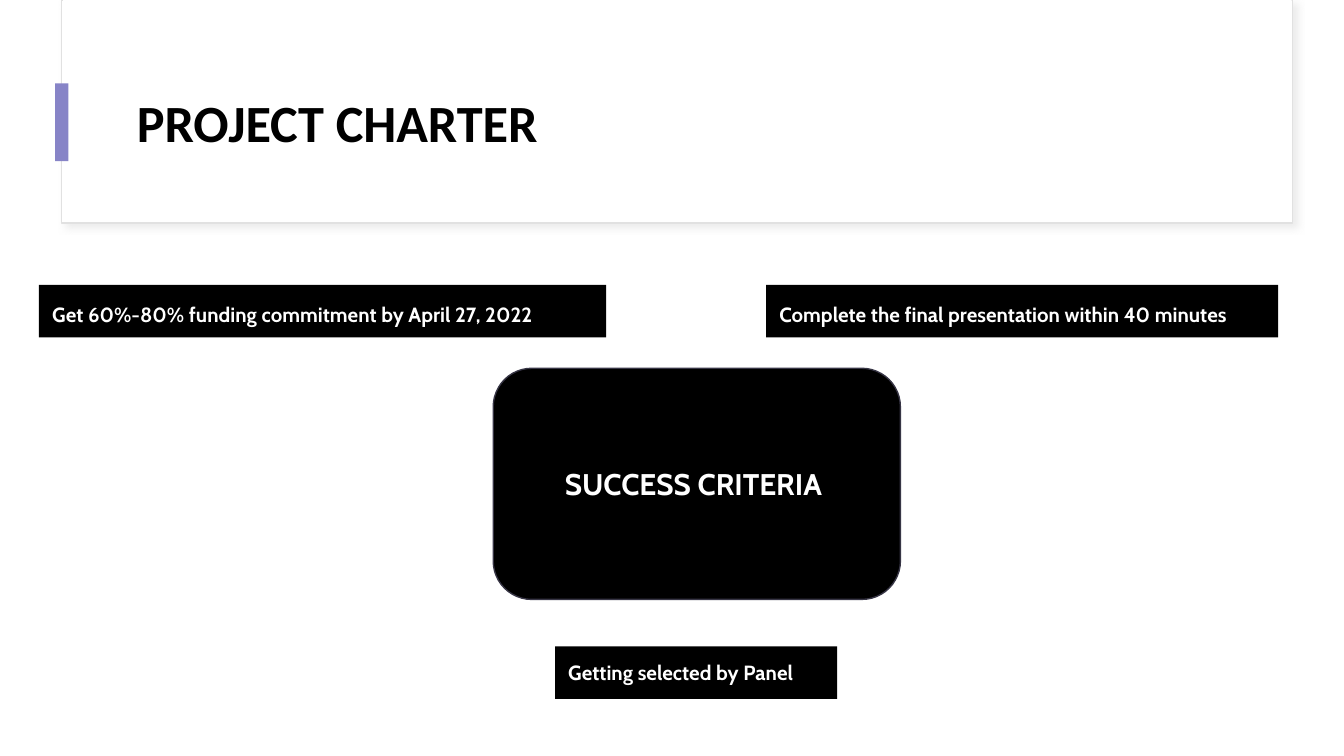
from lxml import etree
from pptx import Presentation
from pptx.dml.color import RGBColor
from pptx.enum.shapes import MSO_SHAPE
from pptx.enum.text import MSO_ANCHOR, PP_ALIGN
from pptx.oxml.ns import qn
from pptx.util import Inches, Pt

RECTANGLE, ROUNDED = MSO_SHAPE.RECTANGLE, MSO_SHAPE.ROUNDED_RECTANGLE
TOP, MIDDLE = MSO_ANCHOR.TOP, MSO_ANCHOR.MIDDLE
LEFT, CENTER, JUSTIFY = PP_ALIGN.LEFT, PP_ALIGN.CENTER, PP_ALIGN.JUSTIFY
BLACK, WHITE, PURPLE = "000000", "FFFFFF", "8784C7"
CARD_EDGE, CARD_SHADOW, CRITERIA_EDGE = "E1E1E1", "D8D8D8", "373545"
SLIDE_WIDTH = 10
SLIDE_HEIGHT = SLIDE_WIDTH * 9 / 16
CRITERION_HEIGHT = 0.39


def color(hex_string):
    return RGBColor.from_string(hex_string)


def add_block(slide, box, fill, line=None, preset=RECTANGLE):
    shape = slide.shapes.add_shape(preset, *map(Inches, box))
    shape.shadow.inherit = False
    shape.fill.solid()
    shape.fill.fore_color.rgb = color(fill)
    if line:
        shape.line.color.rgb = color(line)
        shape.line.width = Pt(0.75)
    else:
        shape.line.fill.background()
    return shape


def add_soft_shadow(shape):
    effects = shape._element.spPr.find(qn("a:effectLst"))
    shadow = etree.SubElement(
        effects, qn("a:outerShdw"), blurRad=str(Pt(4)), dist=str(Pt(3)),
        dir=str(45 * 60000), algn="tl", rotWithShape="0")
    shade = etree.SubElement(shadow, qn("a:srgbClr"), val=CARD_SHADOW)
    etree.SubElement(shade, qn("a:alpha"), val="50000")


def write_text(shape, text, font, paragraph_format, anchor, margin=0.1):
    """Fill the shape with one bold paragraph; margin is top and bottom."""
    frame = shape.text_frame
    frame_format = {
        "word_wrap": True, "vertical_anchor": anchor,
        "margin_left": Inches(0.1), "margin_right": Inches(0.1),
        "margin_top": Inches(margin), "margin_bottom": Inches(margin),
    }
    for name, value in frame_format.items():
        setattr(frame, name, value)
    paragraph = frame.paragraphs[0]
    for name, value in paragraph_format.items():
        setattr(paragraph, name, value)
    run = paragraph.add_run()
    run.text = text
    font_name, size, hex_string = font
    for name, value in {"name": font_name, "size": Pt(size), "bold": True}.items():
        setattr(run.font, name, value)
    run.font.color.rgb = color(hex_string)


def add_header(slide, box, title):
    left, top, width, height = box
    card = add_block(slide, box, WHITE, CARD_EDGE)
    add_soft_shadow(card)
    add_block(slide, (left + 0.01, top, width - 0.02, height - 0.02), WHITE)
    title_box = slide.shapes.add_textbox(
        *map(Inches, (left + 0.46, top + 0.45, 8.34, 0.97)))
    write_text(title_box, title, ("Calibri", 28, BLACK),
               {"alignment": LEFT, "line_spacing": 0.9}, MIDDLE, 0.05)
    add_block(slide, (left - 0.05, top + 0.62, 0.1, 0.58), PURPLE)


def add_center(slide, box, text):
    shape = add_block(slide, box, BLACK, CRITERIA_EDGE, ROUNDED)
    write_text(shape, text, ("Cabin", 16, WHITE), {"alignment": CENTER}, MIDDLE)


def add_criterion(slide, box, text, paragraph_format):
    shape = add_block(slide, box, BLACK)
    write_text(shape, text, ("Cabin", 11, WHITE), paragraph_format, TOP)


def main():
    presentation = Presentation()
    presentation.slide_width = Inches(SLIDE_WIDTH)
    presentation.slide_height = Inches(SLIDE_HEIGHT)
    slide = presentation.slides.add_slide(presentation.slide_layouts[6])

    add_header(slide, (0.46, 0, 9.16, 1.66), "PROJECT CHARTER")
    add_center(slide, (3.67, 2.74, 3.03, 1.72), "SUCCESS CRITERIA ")

    spaced = {"alignment": JUSTIFY, "line_spacing": 1.15}
    plain = {"alignment": LEFT}
    criteria = [
        (0.29, 2.12, 4.22, "Get 60%-80% funding commitment by April 27, 2022", spaced),
        (5.7, 2.12, 3.81, "Complete the final presentation within 40 minutes", spaced),
        (4.13, 4.81, 2.1, "Getting selected by Panel", plain),
    ]
    for left, top, width, text, paragraph_format in criteria:
        add_criterion(slide, (left, top, width, CRITERION_HEIGHT), text, paragraph_format)

    presentation.save("out.pptx")


if __name__ == "__main__":
    main()
